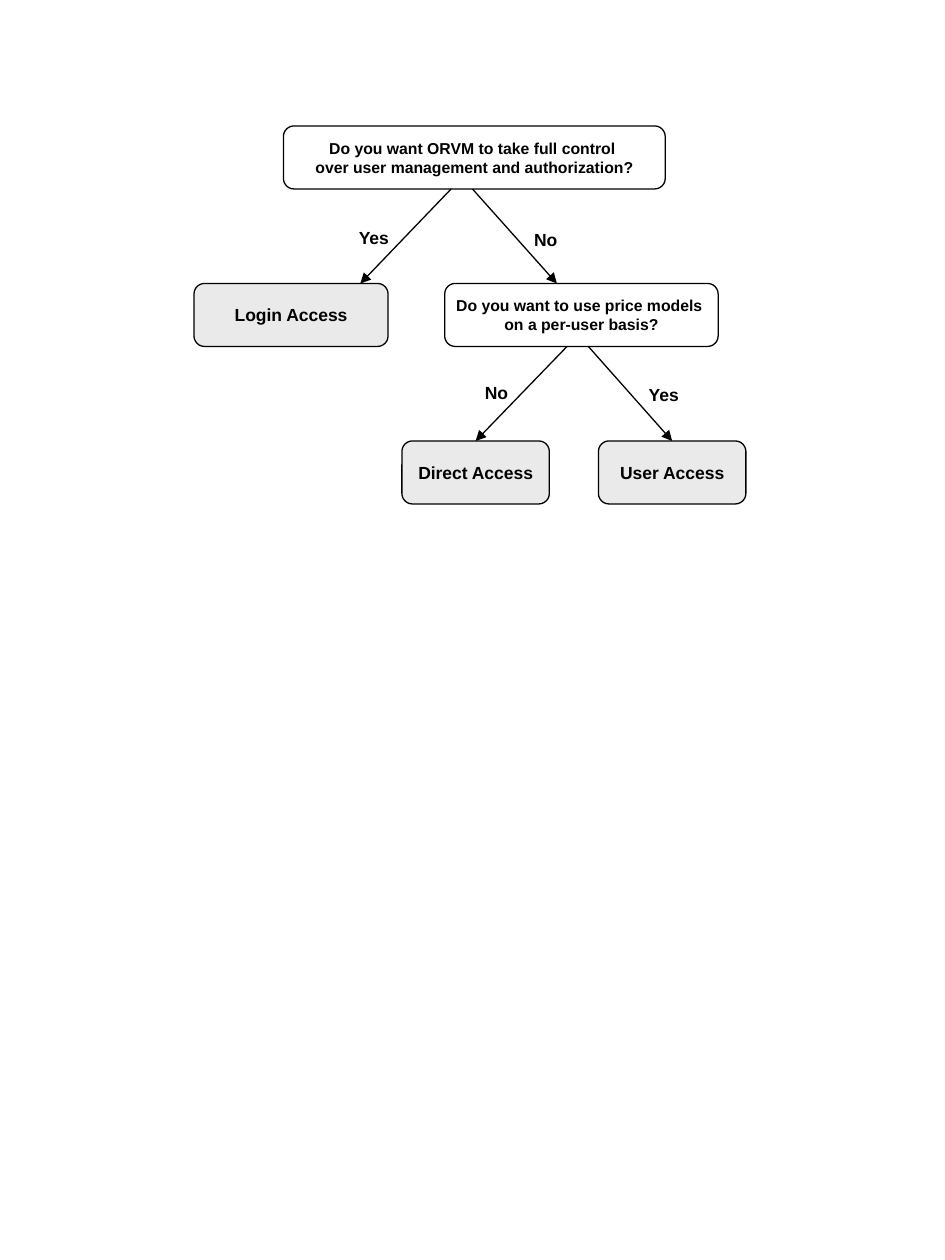
from dataclasses import dataclass

import pptx
import pptx.dml.color
import pptx.enum.shapes
import pptx.enum.text
import pptx.oxml
import pptx.oxml.ns
import pptx.util

Inches = pptx.util.Inches
Pt = pptx.util.Pt
RGBColor = pptx.dml.color.RGBColor


@dataclass(frozen=True)
class Theme:
    font: str = "Arial"
    ink: RGBColor = RGBColor(0x00, 0x00, 0x00)
    question_fill: RGBColor = RGBColor(0xFF, 0xFF, 0xFF)
    answer_fill: RGBColor = RGBColor(0xEA, 0xEA, 0xEA)
    question_size: float = 9
    answer_size: float = 10
    line_width: float = 0.75


THEME = Theme()
BOX_HEIGHT = 0.5
LEVEL_STEP = 1.25  # from the top of one level to the next
FORK_GAP = 0.17    # between the starts of the two arrows
LABEL_WIDTHS = {"Yes": 0.46, "No": 0.41}


def write_text(box, lines, size, align):
    frame = box.text_frame
    frame.text = "\n".join(lines)
    for para in frame.paragraphs:
        para.alignment = align
        para.font.name = THEME.font
        para.font.size = Pt(size)
        para.font.bold = True
        para.font.color.rgb = THEME.ink


def add_node(page, left, top, width, lines, fill, size, wrap):
    box = page.shapes.add_shape(
        pptx.enum.shapes.MSO_SHAPE.ROUNDED_RECTANGLE,
        Inches(left), Inches(top), Inches(width), Inches(BOX_HEIGHT))
    box.shadow.inherit = False
    box.fill.solid()
    box.fill.fore_color.rgb = fill
    box.line.color.rgb = THEME.ink
    box.line.width = Pt(THEME.line_width)
    box.text_frame.word_wrap = wrap
    box.text_frame.vertical_anchor = pptx.enum.text.MSO_ANCHOR.MIDDLE
    write_text(box, lines, size, pptx.enum.text.PP_ALIGN.CENTER)
    return box


def add_question(page, left, top, width, lines):
    return add_node(page, left, top, width, lines,
                    THEME.question_fill, THEME.question_size, False)


def add_answer(page, left, top, width, text):
    return add_node(page, left, top, width, [text],
                    THEME.answer_fill, THEME.answer_size, True)


def add_label(page, left, top, text):
    box = page.shapes.add_textbox(
        Inches(left), Inches(top), Inches(LABEL_WIDTHS[text]), Inches(0.27))
    box.text_frame.word_wrap = False
    # A fixed box wide enough for its word keeps the label on one line
    box.text_frame.auto_size = pptx.enum.text.MSO_AUTO_SIZE.NONE
    write_text(box, [text], THEME.answer_size, pptx.enum.text.PP_ALIGN.LEFT)


def add_arrow(page, start, end, target=None):
    arrow = page.shapes.add_connector(
        pptx.enum.shapes.MSO_CONNECTOR.STRAIGHT,
        *(Inches(value) for value in (*start, *end)))
    arrow.line.color.rgb = THEME.ink
    arrow.line.width = Pt(THEME.line_width)
    head = pptx.oxml.parse_xml(
        f'<a:tailEnd {pptx.oxml.ns.nsdecls("a")} type="triangle"/>')
    arrow.line._get_or_add_ln().append(head)
    # An empty effect list removes the shadow
    arrow.element.spPr.append(pptx.oxml.parse_xml(
        f'<a:effectLst {pptx.oxml.ns.nsdecls("a")}/>'))
    if target is not None:
        arrow.end_connect(target, 0)


def add_fork(page, left, top, answers, label_lefts, label_drop, targets=(None, None)):
    """Two arrows down from a question, the first starting at left, top."""
    end_top = top + LEVEL_STEP - BOX_HEIGHT
    starts = (left, left + FORK_GAP)
    ends = (left - 0.72, left + 0.84)
    drops = (label_drop, label_drop + 0.02)
    for start, end, target in zip(starts, ends, targets):
        add_arrow(page, (start, top), (end, end_top), target)
    for text, offset, drop in zip(answers, label_lefts, drops):
        add_label(page, left + offset, top + drop, text)


def add_decision_tree(page, left, top):
    second, third = top + LEVEL_STEP, top + 2 * LEVEL_STEP

    # First level: who controls the users
    add_question(page, left + 0.71, top, 3.03,
                 ["Do you want ORVM to take full control ",
                  "over user management and authorization?"])

    # Second level: login access, or the next question
    add_answer(page, left, second, 1.54, "Login Access")
    add_question(page, left + 1.99, second, 2.17,
                 ["Do you want to use price models ", "on a per-user basis?"])
    add_fork(page, left + 2.04, top + BOX_HEIGHT, ("Yes", "No"), (-0.83, 0.56), 0.25)

    # Third level: direct or user access
    targets = [add_answer(page, left + offset, third, 1.17, text)
               for offset, text in ((1.65, "Direct Access"), (3.21, "User Access"))]
    add_fork(page, left + 2.96, second + BOX_HEIGHT, ("No", "Yes"), (-0.75, 0.55),
             0.23, targets)


def main():
    deck = pptx.Presentation()
    deck.slide_width = Inches(7.5)
    deck.slide_height = Inches(10)
    page = deck.slides.add_slide(deck.slide_layouts[6])
    add_decision_tree(page, 1.54, 1)
    deck.save("out.pptx")


if __name__ == "__main__":
    main()
